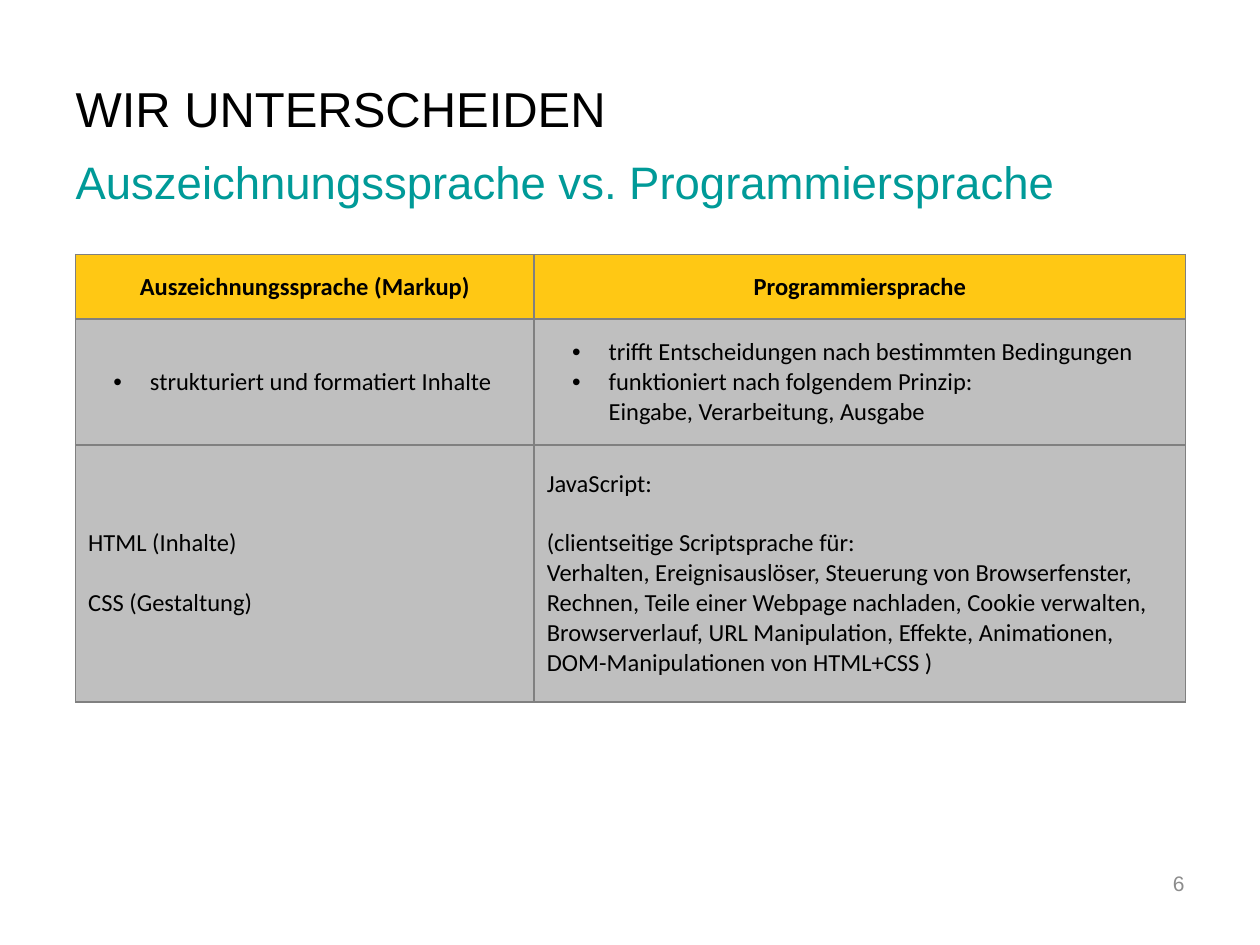
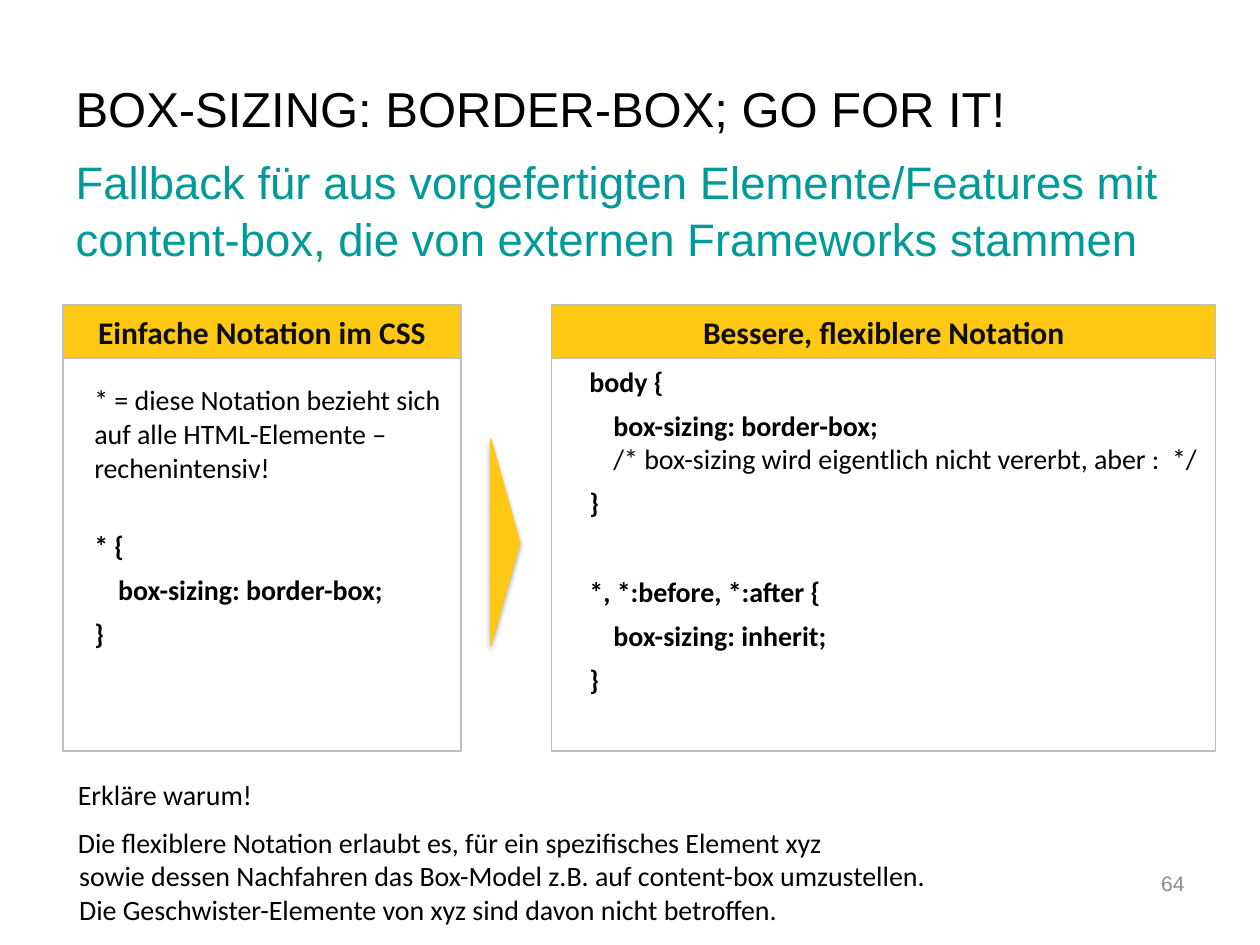
from lxml.etree import SubElement
from pptx import Presentation
from pptx.dml.color import RGBColor
from pptx.enum.shapes import MSO_SHAPE as Shape
from pptx.enum.text import MSO_ANCHOR as Anchor, MSO_AUTO_SIZE as AutoSize, PP_ALIGN as Align
from pptx.oxml.ns import qn
from pptx.util import Inches, Pt

BLACK, TEAL, YELLOW = "000000", "009A98", "FFC814"
CELL_GRAY, RULE_GRAY, BORDER_GRAY = "BFBFBF", "BFBFBF", "808080"

TITLE = dict(font="Arial", size=28, line_spacing=1.05)
SUBTITLE = dict(font="Arial", size=26, color=TEAL, line_spacing=1.05)
NUMBER = dict(font="Arial", size=12, color="8C8C8C", align=Align.RIGHT)
CELL = dict(size=14)
CELL_HEAD = dict(size=14, bold=True, align=Align.CENTER)
PANEL_HEAD = dict(size=18, bold=True, color="0D0D0D", align=Align.CENTER)
NOTE = dict(size=16, after=6)
CODE = dict(size=16, after=6, bold=True)
EXPLANATION = dict(size=16, after=6, indent=(0.01, -0.01))

BULLET = dict(bullet="•", indent=(0.49, -0.29))
CELL_GAP = dict(after=17)
NESTED = dict(indent=(0.19, 0))
OUTER, INNER = dict(indent=(0.2, 0)), dict(indent=(0.39, 0))

# Text is a list of (wording, changes to the format of the block)
LANGUAGES = dict(
    title="WIR UNTERSCHEIDEN",
    subtitle="Auszeichnungssprache vs. Programmiersprache",
    number="6",
    widths=[3.64, 5.17],
    heights=[0.51, 1, 2.04],
    rows=[
        [[("Auszeichnungssprache (Markup)", {})], [("Programmiersprache", {})]],
        [
            [("strukturiert und formatiert Inhalte", BULLET)],
            [
                ("trifft Entscheidungen nach bestimmten Bedingungen", BULLET),
                ("funktioniert nach folgendem Prinzip: \nEingabe, Verarbeitung, Ausgabe", BULLET),
            ],
        ],
        [
            [("HTML (Inhalte)", CELL_GAP), ("CSS (Gestaltung)", {})],
            [
                ("JavaScript:", CELL_GAP),
                ("(clientseitige Scriptsprache für: \n"
                 "Verhalten, Ereignisauslöser, Steuerung von Browserfenster, Rechnen, "
                 "Teile einer Webpage nachladen, Cookie verwalten, Browserverlauf, "
                 "URL Manipulation, Effekte, Animationen, "
                 "DOM-Manipulationen von HTML+CSS )", {}),
            ],
        ],
    ],
)

BOX_SIZING = dict(
    title="BOX-SIZING: BORDER-BOX; GO FOR IT!",
    subtitle="Fallback für aus vorgefertigten Elemente/Features mit content-box, "
             "die von externen Frameworks stammen",
    number="64",
    panels=[
        dict(
            head="Einfache Notation im CSS", left=0.5, width=3.16, text_at=(0.65, 2.99, 3, 2.24),
            code=[
                ("* = diese Notation bezieht sich auf alle HTML-Elemente – rechenintensiv!",
                 dict(bold=False, after=25.5)),
                ("* {", {}),
                ("box-sizing: border-box;", NESTED),
                ("}", {}),
            ],
        ),
        dict(
            head="Bessere, flexiblere Notation", left=4.38, width=5.27, text_at=None,
            code=[
                ("body {", OUTER),
                ("box-sizing: border-box;", INNER | dict(after=0)),
                ("/* box-sizing wird eigentlich nicht vererbt, aber :  */", INNER | dict(bold=False)),
                ("}", OUTER | dict(after=31.5)),
                ("*, *:before, *:after {", OUTER),
                ("box-sizing: inherit;", INNER),
                ("}", OUTER),
            ],
        ),
    ],
    explanations=[
        (6.12, 0.37, "Erkläre warum!"),
        (6.5, 0.91,
         "Die flexiblere Notation erlaubt es, für ein spezifisches Element xyz \n"
         "sowie dessen Nachfahren das Box-Model z.B. auf content-box umzustellen.  \n"
         "Die Geschwister-Elemente von xyz sind davon nicht betroffen."),
    ],
)
PANEL_TOP, HEAD_HEIGHT, PANEL_HEIGHT = 2.42, 0.42, 3.12


def rgb(color):
    return RGBColor.from_string(color)


def lengths(values):
    return [Inches(value) for value in values]


def write_paragraph(para, wording, font="Calibri", size=16, color=BLACK, bold=False,
                    align=Align.LEFT, indent=(0, 0), bullet=None, after=0, line_spacing=1.0):
    properties = para._p.get_or_add_pPr()
    for name, value in zip(("marL", "indent"), lengths(indent)):
        properties.set(name, str(value))
    if bullet:
        SubElement(properties, qn("a:buFont"), typeface="Arial")
        SubElement(properties, qn("a:buChar"), char=bullet)
    layout = dict(alignment=align, space_before=Pt(0), space_after=Pt(after),
                  line_spacing=line_spacing)
    for name, value in layout.items():
        setattr(para, name, value)
    for index, line in enumerate(wording.split("\n")):
        if index:
            para.add_line_break()
            SubElement(para._p[-1], qn("a:rPr"), sz=str(size * 100))
        span = para.add_run()
        span.text = line
        for name, value in dict(name=font, size=Pt(size), bold=bold).items():
            setattr(span.font, name, value)
        span.font.color.rgb = rgb(color)


def write(frame, paragraphs, style, anchor=Anchor.TOP):
    """Fill a text frame; each paragraph may change the shared style."""
    for name, value in dict(word_wrap=True, auto_size=AutoSize.NONE, vertical_anchor=anchor).items():
        setattr(frame, name, value)
    write_paragraphs(frame, paragraphs, style)


def write_paragraphs(frame, paragraphs, style):
    for index, (wording, changes) in enumerate(paragraphs):
        para = frame.add_paragraph() if index else frame.paragraphs[0]
        write_paragraph(para, wording, **(style | changes))


def add_text(page, at, paragraphs, style, anchor=Anchor.TOP):
    box = page.shapes.add_textbox(*lengths(at))
    write(box.text_frame, paragraphs, style, anchor)


def add_box(page, kind, at, fill=None, line=RULE_GRAY):
    box = page.shapes.add_shape(kind, *lengths(at))
    box.shadow.inherit = False
    if fill:
        box.fill.solid()
        box.fill.fore_color.rgb = rgb(fill)
    else:
        box.fill.background()
    box.line.color.rgb = rgb(line)
    box.line.width = Pt(0.75)
    return box


def add_page(deck, content):
    """Add a slide with its title, subtitle and slide number."""
    page = deck.slides.add_slide(deck.slide_layouts[0])
    subtitle_height = 0.54 if len(content["subtitle"]) < 60 else 0.98
    headings = [
        (page.shapes.title, (0.5, 0.56, 7.73, 0.57), content["title"], TITLE, Anchor.MIDDLE),
        (page.placeholders[1], (0.5, 1.15, 9, subtitle_height), content["subtitle"], SUBTITLE, Anchor.TOP),
    ]
    for holder, at, wording, style, anchor in headings:
        for name, value in zip(("left", "top", "width", "height"), lengths(at)):
            setattr(holder, name, value)
        write(holder.text_frame, [(wording, {})], style, anchor)
    add_text(page, (8.83, 6.81, 0.67, 0.4), [(content["number"], {})], NUMBER, Anchor.MIDDLE)
    return page


def add_borders(cell):
    properties = cell._tc.get_or_add_tcPr()
    for index, side in enumerate(("lnL", "lnR", "lnT", "lnB")):
        line = SubElement(properties, qn(f"a:{side}"), w=str(Pt(1)))
        SubElement(SubElement(line, qn("a:solidFill")), qn("a:srgbClr"), val=BORDER_GRAY)
        properties.insert(index, line)


def add_language_table(page, content):
    widths, heights = content["widths"], content["heights"]
    at = (0.6, 2.02, sum(widths), sum(heights))
    table = page.shapes.add_table(len(heights), len(widths), *lengths(at)).table
    for column, width in zip(table.columns, lengths(widths)):
        column.width = width
    for index, (row, height) in enumerate(zip(table.rows, lengths(heights))):
        row.height = height
        style, fill = (CELL, CELL_GRAY) if index else (CELL_HEAD, YELLOW)
        for cell, paragraphs in zip(row.cells, content["rows"][index]):
            cell.vertical_anchor = Anchor.MIDDLE
            cell.fill.solid()
            cell.fill.fore_color.rgb = rgb(fill)
            add_borders(cell)
            write_paragraphs(cell.text_frame, paragraphs, style)


def add_panel(page, head, left, width, text_at, code):
    body_top = PANEL_TOP + HEAD_HEIGHT
    body = add_box(page, Shape.RECTANGLE, (left, body_top, width, PANEL_HEIGHT))
    band = add_box(page, Shape.RECTANGLE, (left, PANEL_TOP, width, HEAD_HEIGHT), YELLOW)
    write(band.text_frame, [(head, {})], PANEL_HEAD, Anchor.MIDDLE)
    if text_at:
        add_text(page, text_at, code, CODE)
    else:
        write(body.text_frame, code, CODE)


def add_pointer(page):
    pointer = add_box(page, Shape.ISOSCELES_TRIANGLE, (3.19, 4.19, 1.64, 0.23), YELLOW, YELLOW)
    pointer.rotation = 90
    effects = pointer._element.spPr.find(qn("a:effectLst"))
    shadow = SubElement(effects, qn("a:outerShdw"), blurRad=str(Pt(3.1)), dist=str(Pt(1.8)),
                        dir="5400000", rotWithShape="0")
    SubElement(SubElement(shadow, qn("a:srgbClr"), val=BLACK), qn("a:alpha"), val="35000")


def main():
    deck = Presentation()
    deck.slide_width, deck.slide_height = lengths((10, 7.5))

    add_language_table(add_page(deck, LANGUAGES), LANGUAGES)

    page = add_page(deck, BOX_SIZING)
    for panel in BOX_SIZING["panels"]:
        add_panel(page, **panel)
    add_pointer(page)
    for top, height, wording in BOX_SIZING["explanations"]:
        add_text(page, (0.52, top, 8.64, height), [(wording, {})], EXPLANATION)

    deck.save("out.pptx")


if __name__ == "__main__":
    main()
